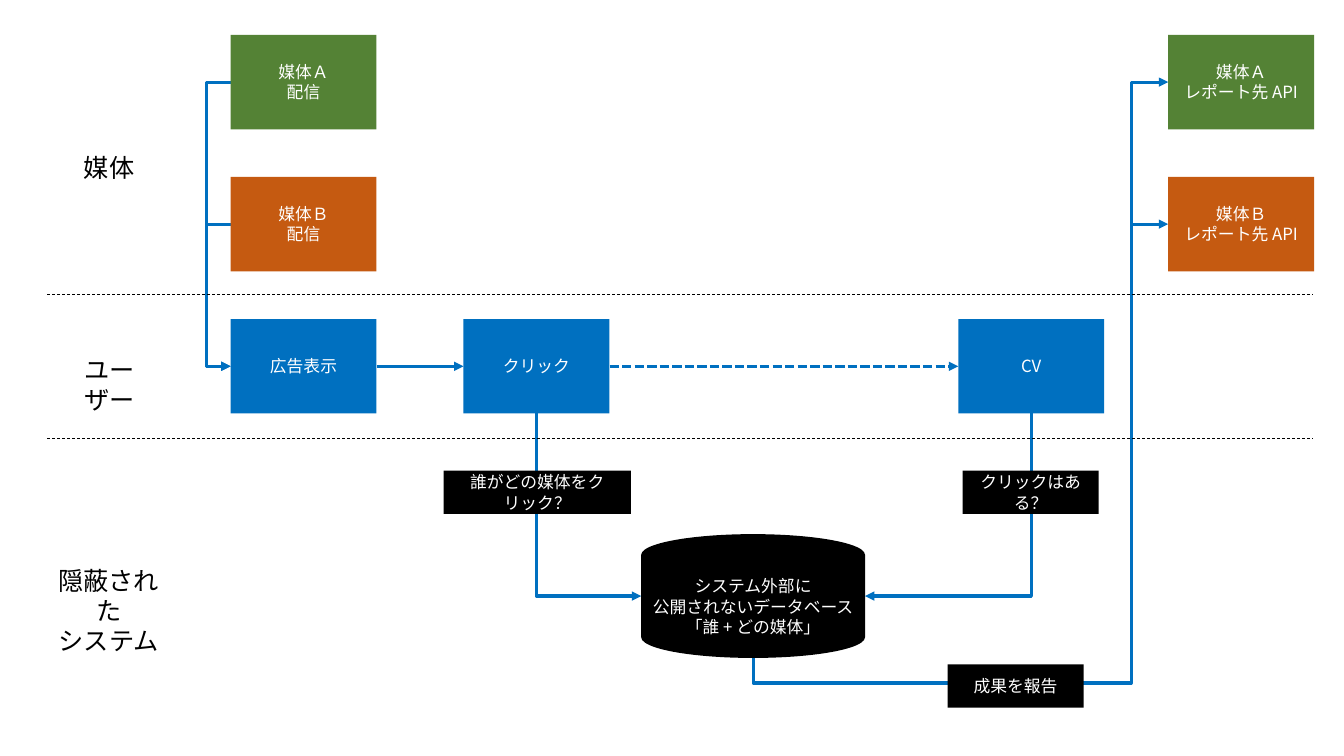
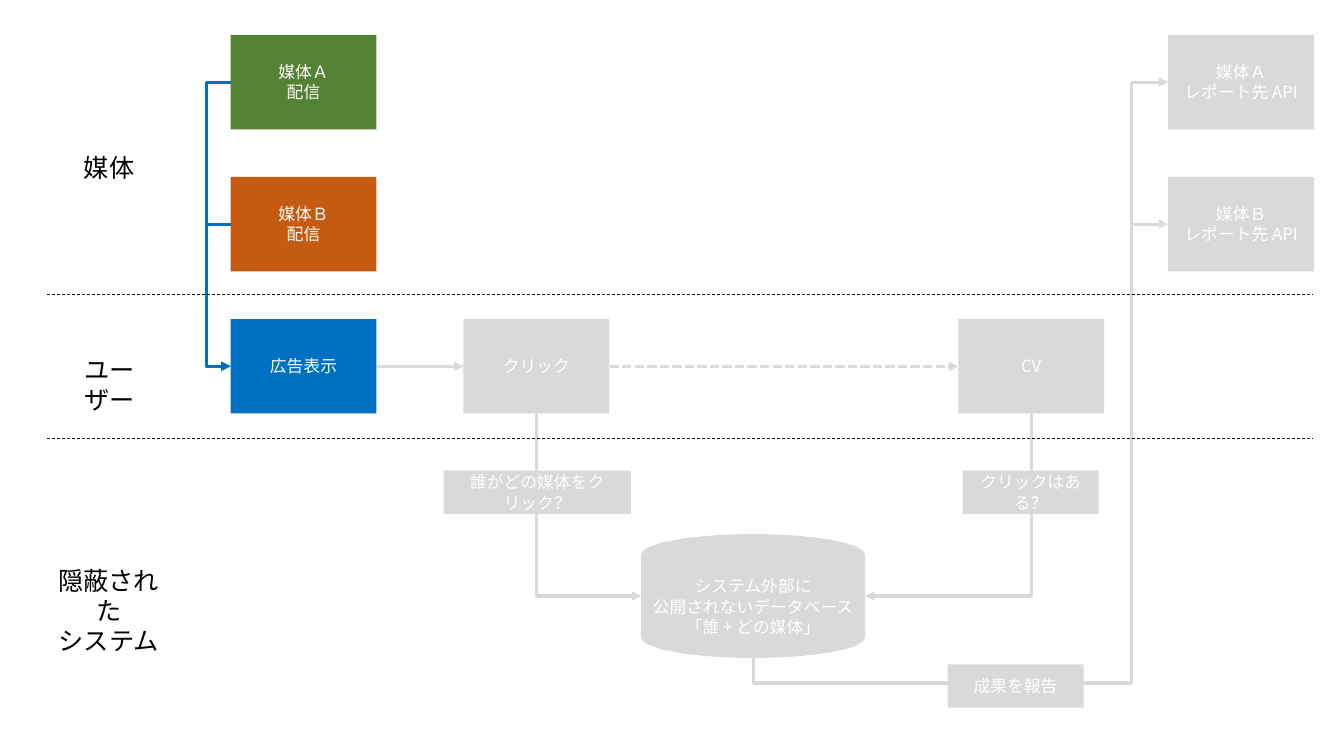
import math
from lxml import etree
from pptx import Presentation
from pptx import util as u
from pptx.dml.color import RGBColor
from pptx.enum import dml, shapes, text
from pptx.oxml import ns

FONT = "Noto Sans CJK JP"
WHITE = RGBColor(0xFF, 0xFF, 0xFF)
BLACK = RGBColor(0x00, 0x00, 0x00)
BLUE = RGBColor(0x00, 0x70, 0xC0)
GREEN = RGBColor(0x54, 0x82, 0x35)
ORANGE = RGBColor(0xC5, 0x5A, 0x11)
MUTED = RGBColor(0xD9, 0xD9, 0xD9)

BOX_WIDTH, BOX_HEIGHT = 3.68, 2.38
TOP_A, TOP_B, TOP_USER = [0.88 + 3.58 * row for row in range(3)]
MID_A, MID_B, MID_USER = [top + BOX_HEIGHT / 2 for top in (TOP_A, TOP_B, TOP_USER)]
AD_LEFT, CLICK_LEFT, CV_LEFT, REPORT_LEFT = 5.81, 11.68, 24.15, 29.44
CLICK_MID, CV_MID = CLICK_LEFT + BOX_WIDTH / 2, CV_LEFT + BOX_WIDTH / 2
USER_BOTTOM = TOP_USER + BOX_HEIGHT
DISK_LEFT, DISK_TOP, DISK_WIDTH, DISK_HEIGHT = 16.16, 13.46, 5.64, 3.12
DISK_MID_X, DISK_MID_Y = DISK_LEFT + DISK_WIDTH / 2, DISK_TOP + DISK_HEIGHT / 2
DISK_BOTTOM = DISK_TOP + DISK_HEIGHT
LABEL_HEIGHT = 1.09
BEND = 0.63
NUDGE = 0.03
REPORT_BEND_X = 28.51

RECTANGLE = shapes.MSO_SHAPE.RECTANGLE
DISK = shapes.MSO_SHAPE.FLOWCHART_MAGNETIC_DISK

BOXES = [
    (RECTANGLE, AD_LEFT, TOP_A, BOX_WIDTH, BOX_HEIGHT, GREEN, ["媒体Ａ", "配信"], True),
    (RECTANGLE, AD_LEFT, TOP_B, BOX_WIDTH, BOX_HEIGHT, ORANGE, ["媒体Ｂ", "配信"], True),
    (RECTANGLE, AD_LEFT, TOP_USER, BOX_WIDTH, BOX_HEIGHT, BLUE, ["広告表示"], True),
    (RECTANGLE, CLICK_LEFT, TOP_USER, BOX_WIDTH, BOX_HEIGHT, BLUE, ["クリック"], False),
    (RECTANGLE, CV_LEFT, TOP_USER, BOX_WIDTH, BOX_HEIGHT, BLUE, ["CV"], False),
    (RECTANGLE, REPORT_LEFT, TOP_A, BOX_WIDTH, BOX_HEIGHT, GREEN, ["媒体Ａ", "レポート先 API"], False),
    (RECTANGLE, REPORT_LEFT, TOP_B, BOX_WIDTH, BOX_HEIGHT, ORANGE, ["媒体Ｂ", "レポート先 API"], False),
    (DISK, DISK_LEFT, DISK_TOP, DISK_WIDTH, DISK_HEIGHT, BLACK,
     ["システム外部に", "公開されないデータベース", "「誰 + どの媒体」"], False),
    (RECTANGLE, 11.18, 11.86, 4.72, LABEL_HEIGHT, BLACK, ["誰がどの媒体をクリック？"], False),
    (RECTANGLE, 24.26, 11.86, 3.43, LABEL_HEIGHT, BLACK, ["クリックはある？"], False),
    (RECTANGLE, 23.88, 16.74, 3.43, LABEL_HEIGHT, BLACK, ["成果を報告"], False),
]

LINKS = [
    ((AD_LEFT + BOX_WIDTH, MID_USER), (CLICK_LEFT, MID_USER), 0, "line", [], None, False),
    ((CLICK_LEFT + BOX_WIDTH, MID_USER), (CV_LEFT, MID_USER), 0, "line", [],
     dml.MSO_LINE.SQUARE_DOT, False),
    ((CLICK_MID, USER_BOTTOM), (DISK_LEFT, DISK_MID_Y), 270, "bentConnector2", [], None, False),
    ((CV_MID, USER_BOTTOM), (DISK_LEFT + DISK_WIDTH, DISK_MID_Y), 90, "bentConnector2", [], None, False),
]
for middle in (MID_A, MID_B):
    bends = [-BEND / (DISK_BOTTOM - middle), (REPORT_BEND_X - DISK_MID_X) / (REPORT_LEFT - DISK_MID_X)]
    LINKS.append(((DISK_MID_X, DISK_BOTTOM), (REPORT_LEFT, middle), 90, "bentConnector4", bends, None, False))
    LINKS.append(((AD_LEFT + NUDGE, middle), (AD_LEFT, MID_USER), 180, "bentConnector3",
                  [BEND / NUDGE], None, True))

DIVIDERS = [7.42, 11.05]
LANES = [
    (1.85, 3.71, 1.8, 1.02, ["媒体"]),
    (1.45, 8.81, 2.62, 1.02, ["ユーザー"]),
    (1.09, 14.12, 3.3, 1.8, ["隠蔽された", "システム"]),
]


def write(shape, lines, size, color):
    frame = shape.text_frame
    frame.word_wrap = True
    for index, line in enumerate(lines):
        paragraph = frame.add_paragraph() if index else frame.paragraphs[0]
        paragraph.alignment = text.PP_ALIGN.CENTER
        run = paragraph.add_run()
        run.text = line
        run.font.size = u.Pt(size)
        run.font.color.rgb = color
        run.font.name = FONT
        etree.SubElement(run._r.get_or_add_rPr(), ns.qn("a:ea"), typeface=FONT)


def connect(slide, start, end, color, width, dash, turn=0, preset="line", bends=()):
    angle = math.radians(turn)
    dx, dy = end[0] - start[0], end[1] - start[1]
    half_x = (dx * math.cos(angle) + dy * math.sin(angle)) / 2
    half_y = (dy * math.cos(angle) - dx * math.sin(angle)) / 2
    x, y = (start[0] + end[0]) / 2, (start[1] + end[1]) / 2
    kind = shapes.MSO_CONNECTOR.STRAIGHT if preset == "line" else shapes.MSO_CONNECTOR.ELBOW
    connector = slide.shapes.add_connector(
        kind, u.Cm(x - half_x), u.Cm(y - half_y), u.Cm(x + half_x), u.Cm(y + half_y))
    connector.line.color.rgb = color
    connector.line.width = u.Pt(width)
    connector.line.dash_style = dash
    properties = connector._element.spPr
    if turn:
        properties.find(ns.qn("a:xfrm")).set("rot", str(turn * 60000))
    geometry = properties.find(ns.qn("a:prstGeom"))
    geometry.set("prst", preset)
    adjustments = geometry.find(ns.qn("a:avLst"))
    for number, bend in enumerate(bends, 1):
        etree.SubElement(adjustments, ns.qn("a:gd"), name=f"adj{number}", fmla=f"val {round(bend * 100000)}")
    etree.SubElement(properties, ns.qn("a:effectLst"))
    return connector


presentation = Presentation()
presentation.slide_width = u.Cm(33.87)
presentation.slide_height = u.Cm(19.05)

for only_delivery in (False, True):
    slide = presentation.slides.add_slide(presentation.slide_layouts[6])

    for start, end, turn, preset, bends, dash, delivery in sorted(LINKS, key=lambda link: link[-1]):
        color = MUTED if only_delivery and not delivery else BLUE
        connector = connect(slide, start, end, color, 2.25, dash, turn, preset, bends)
        etree.SubElement(connector.line._get_or_add_ln(), ns.qn("a:tailEnd"), type="triangle")

    for kind, left, top, width, height, fill, lines, delivery in BOXES:
        shape = slide.shapes.add_shape(kind, u.Cm(left), u.Cm(top), u.Cm(width), u.Cm(height))
        shape.shadow.inherit = False
        shape.fill.solid()
        shape.fill.fore_color.rgb = MUTED if only_delivery and not delivery else fill
        shape.line.fill.background()
        shape.text_frame.vertical_anchor = text.MSO_ANCHOR.MIDDLE
        write(shape, lines, 12, WHITE)

    for y in DIVIDERS:
        connect(slide, (1.19, y), (33.1, y), BLACK, 0.5, dml.MSO_LINE.DASH)

    for left, top, width, height, lines in LANES:
        lane = slide.shapes.add_textbox(u.Cm(left), u.Cm(top), u.Cm(width), u.Cm(height))
        lane.text_frame.auto_size = text.MSO_AUTO_SIZE.SHAPE_TO_FIT_TEXT
        write(lane, lines, 18, BLACK)

presentation.save("out.pptx")
